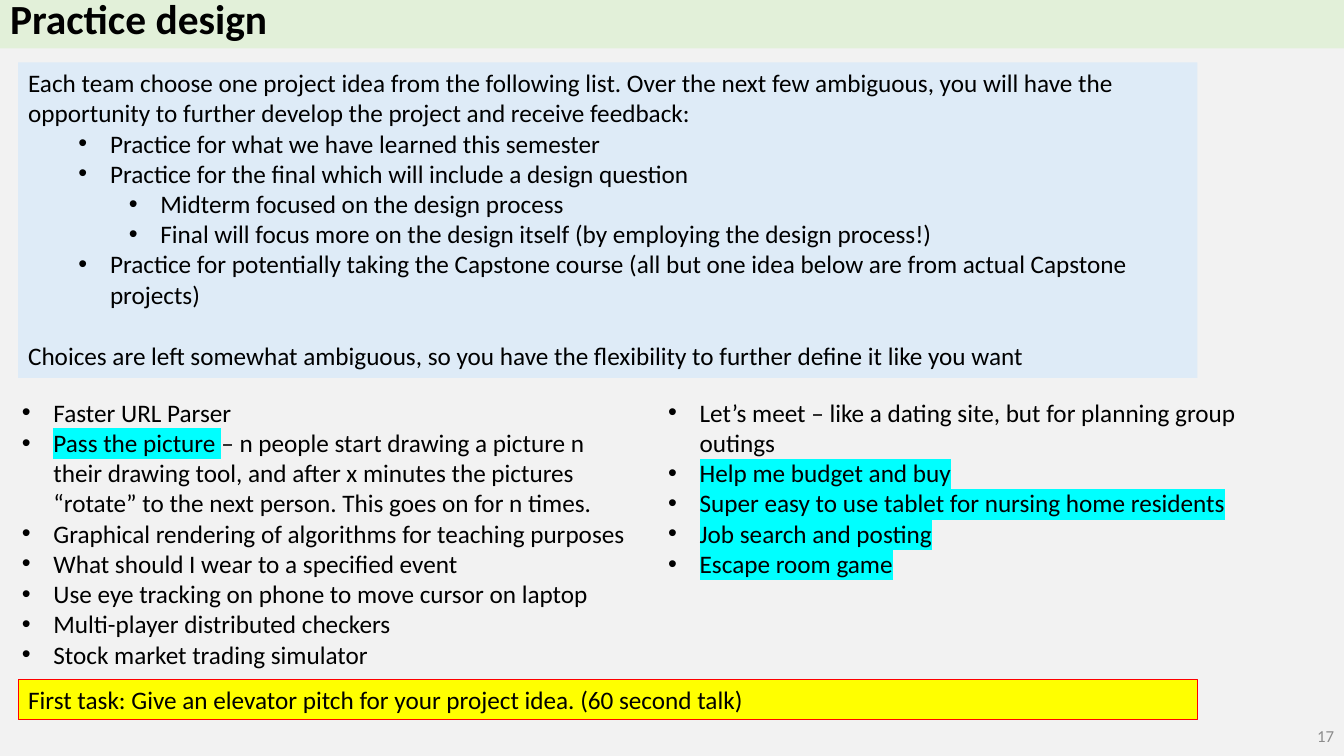
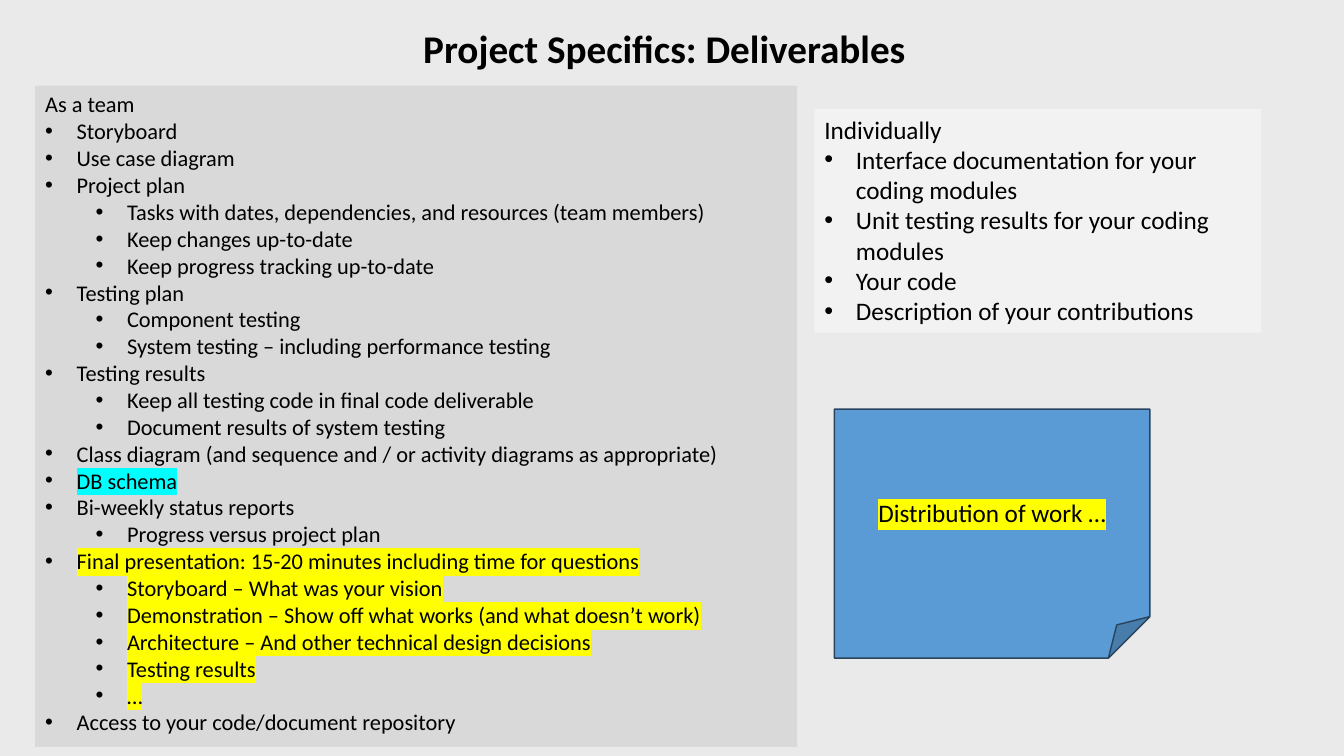
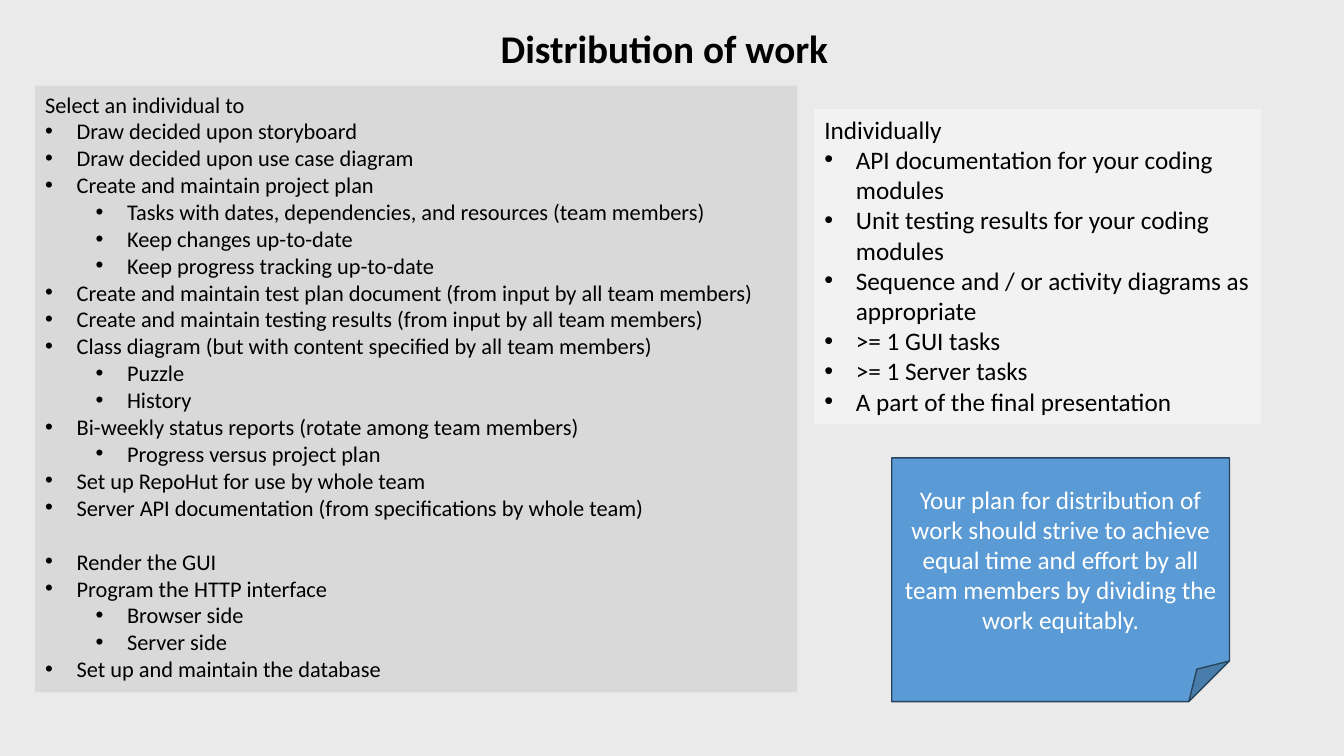
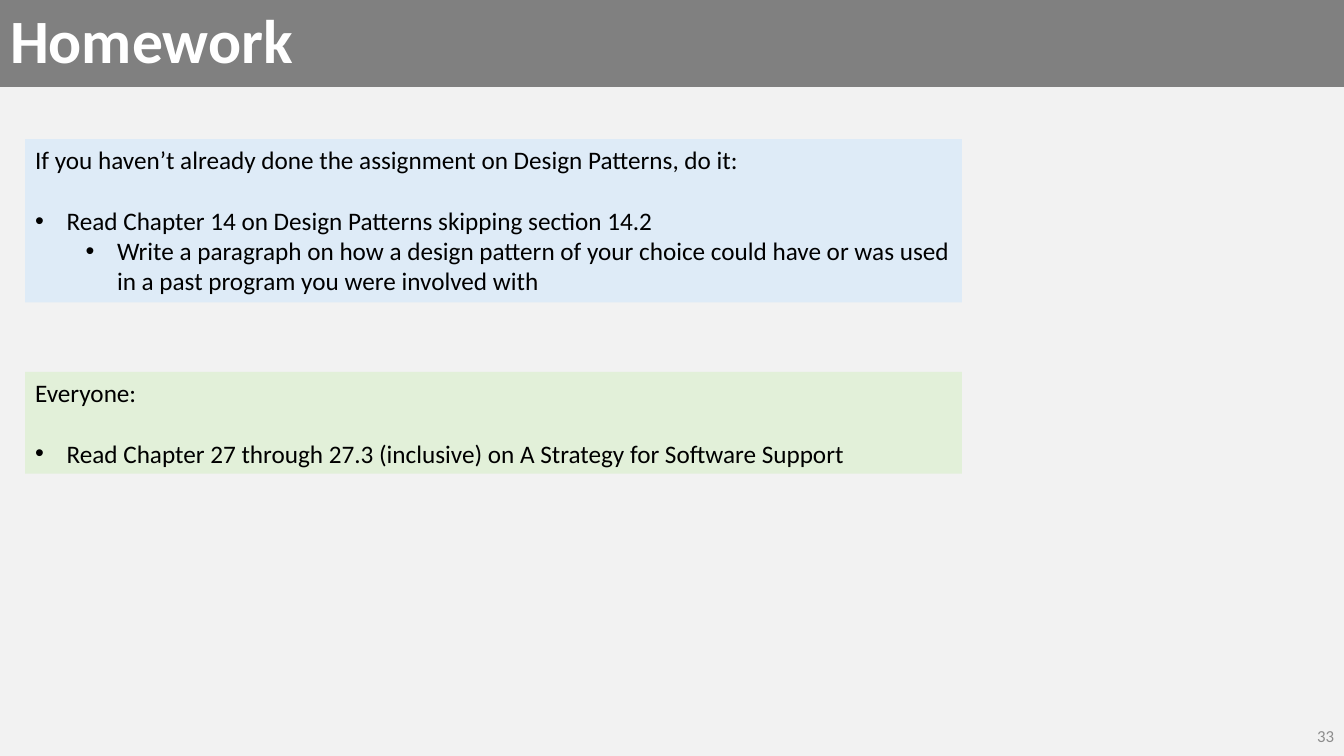
import pptx
import pptx.enum.shapes
import pptx.enum.text
import pptx.oxml.ns
import pptx.util
from lxml import etree

Pt = pptx.util.Pt
ALIGN = pptx.enum.text.PP_ALIGN
ANCHOR = pptx.enum.text.MSO_ANCHOR
qn = pptx.oxml.ns.qn

FONT = "Calibri"
BLACK, WHITE = "000000", "FFFFFF"
PALE, SILVER, STONE, GREY, NUMBER_GREY = "F2F2F2", "EAEAEA", "D9D9D9", "808080", "8C8C8C"
PALE_BLUE, PALE_GREEN, BLUE, NAVY = "DEEBF7", "E2F0D9", "5B9BD5", "28445D"
YELLOW, CYAN, RED = "FFFF00", "00FFFF", "FF0000"
HANG, STEP = 22.5, 36

CYAN_MARK = {"highlight": CYAN}
YELLOW_MARK = {"highlight": YELLOW}

BAND_TITLE = {"kind": "title", "anchor": ANCHOR.MIDDLE, "bold": True}
CENTRED_TITLE = {"kind": "title", "place": (208, 13.7, 533, 41), "size": 28,
                 "bold": True, "align": ALIGN.CENTER}
PAGE_NUMBER = {"place": (744, 511.2, 216, 28.8), "size": 12, "colour": NUMBER_GREY,
               "align": ALIGN.RIGHT, "anchor": ANCHOR.MIDDLE}
NOTE = {"kind": "note", "fill": BLUE, "line": (NAVY, 1),
        "align": ALIGN.CENTER, "anchor": ANCHOR.MIDDLE}
TEAM_PANEL = {"fill": STONE, "size": 16}
PERSON_PANEL = {"fill": PALE}


def paint(fill, colour):
    fill.solid()
    fill.fore_color.rgb = pptx.dml.color.RGBColor.from_string(colour)


def write_lines(frame, lines, style):
    """Each line is (level, text, extras); level 0 has no bullet."""
    for index, (level, text, *extras) in enumerate(lines):
        extra = extras[0] if extras else {}
        para = frame.paragraphs[0] if index == 0 else frame.add_paragraph()
        settings = {"alignment": style.get("align", ALIGN.LEFT),
                    "level": max(level - 1, 0),
                    "line_spacing": style.get("spacing", 1.0),
                    "space_before": Pt(extra.get("gap", 0))}
        for name, value in settings.items():
            setattr(para, name, value)
        if level:
            properties = para._p.get_or_add_pPr()
            properties.set("marL", str(Pt(HANG + STEP * (level - 1))))
            properties.set("indent", str(-Pt(HANG)))
            etree.SubElement(properties, qn("a:buFont")).set("typeface", "Arial")
            etree.SubElement(properties, qn("a:buChar")).set("char", "•")
        pieces = [(text, extra.get("highlight"))]
        if "tail" in extra:
            pieces.append((extra["tail"], None))
        for words, highlight in pieces:
            span = para.add_run()
            span.text = words
            font_settings = {"name": FONT, "size": Pt(style.get("size", 18)),
                             "bold": style.get("bold", False)}
            for name, value in font_settings.items():
                setattr(span.font, name, value)
            paint(span.font.fill, style.get("colour", BLACK))
            if highlight:
                mark = etree.Element(qn("a:highlight"))
                etree.SubElement(mark, qn("a:srgbClr")).set("val", highlight)
                span._r.rPr.find(qn("a:solidFill")).addnext(mark)


practice = [
    {**BAND_TITLE, "place": (0, 0, 960, 34.5), "fill": PALE_GREEN, "size": 29.6,
     "spacing": 0.7, "lines": [(0, "Practice design")]},
    {"place": (13, 44.6, 842.4, 225.4), "fill": PALE_BLUE, "lines": [
        (0, "Each team choose one project idea from the following list. Over the next few "
            "ambiguous, you will have the opportunity to further develop the project and "
            "receive feedback:"),
        (2, "Practice for what we have learned this semester"),
        (2, "Practice for the final which will include a design question"),
        (3, "Midterm focused on the design process"),
        (3, "Final will focus more on the design itself (by employing the design process!)"),
        (2, "Practice for potentially taking the Capstone course (all but one idea below "
            "are from actual Capstone projects)"),
        (0, "Choices are left somewhat ambiguous, so you have the flexibility to further "
            "define it like you want", {"gap": 22}),
    ]},
    {"place": (8.6, 280, 446.4, 225.4), "lines": [
        (1, "Faster URL Parser"),
        (1, "Pass the picture ", {"highlight": CYAN, "tail":
            "– n people start drawing a picture n their drawing tool, and after x minutes "
            "the pictures “rotate” to the next person. This goes on for n times."}),
        (1, "Graphical rendering of algorithms for teaching purposes"),
        (1, "What should I wear to a specified event"),
        (1, "Use eye tracking on phone to move cursor on laptop"),
        (1, "Multi-player distributed checkers"),
        (1, "Stock market trading simulator"),
    ]},
    {"place": (470.2, 280, 446.4, 138.2), "lines": [
        (1, "Let’s meet – like a dating site, but for planning group outings"),
        (1, "Help me budget and buy", CYAN_MARK),
        (1, "Super easy to use tablet for nursing home residents", CYAN_MARK),
        (1, "Job search and posting", CYAN_MARK),
        (1, "Escape room game", CYAN_MARK),
    ]},
    {"place": (13, 485.3, 842.4, 28.8), "fill": YELLOW, "line": (RED, 0.75), "lines": [
        (0, "First task: Give an elevator pitch for your project idea. (60 second talk)")]},
    {**PAGE_NUMBER, "lines": [(0, "17")]},
]

deliverables = [
    {**CENTRED_TITLE, "lines": [(0, "Project Specifics: Deliverables")]},
    {**TEAM_PANEL, "place": (25.2, 61.2, 544.3, 472.3), "lines": [
        (0, "As a team"),
        (1, "Storyboard"),
        (1, "Use case diagram"),
        (1, "Project plan"),
        (2, "Tasks with dates, dependencies, and resources (team members)"),
        (2, "Keep changes up-to-date"),
        (2, "Keep progress tracking up-to-date"),
        (1, "Testing plan"),
        (2, "Component testing"),
        (2, "System testing – including performance testing"),
        (1, "Testing results"),
        (2, "Keep all testing code in final code deliverable"),
        (2, "Document results of system testing"),
        (1, "Class diagram (and sequence and / or activity diagrams as appropriate)"),
        (1, "DB schema", CYAN_MARK),
        (1, "Bi-weekly status reports"),
        (2, "Progress versus project plan"),
        (1, "Final presentation: 15-20 minutes including time for questions", YELLOW_MARK),
        (2, "Storyboard – What was your vision", YELLOW_MARK),
        (2, "Demonstration – Show off what works (and what doesn’t work)", YELLOW_MARK),
        (2, "Architecture – And other technical design decisions", YELLOW_MARK),
        (2, "Testing results", YELLOW_MARK),
        (2, "…", YELLOW_MARK),
        (1, "Access to your code/document repository"),
    ]},
    {**PERSON_PANEL, "place": (581.8, 77.8, 319, 159.8), "lines": [
        (0, "Individually"),
        (1, "Interface documentation for your coding modules"),
        (1, "Unit testing results for your coding modules"),
        (1, "Your code"),
        (1, "Description of your contributions"),
    ]},
    {**NOTE, "place": (596, 292.3, 225.4, 177.8),
     "lines": [(0, "Distribution of work …", YELLOW_MARK)]},
]

distribution = [
    {**CENTRED_TITLE, "lines": [(0, "Distribution of work")]},
    {**TEAM_PANEL, "place": (25.2, 61.2, 544.3, 433.4), "lines": [
        (0, "Select an individual to"),
        (1, "Draw decided upon storyboard"),
        (1, "Draw decided upon use case diagram"),
        (1, "Create and maintain project plan"),
        (2, "Tasks with dates, dependencies, and resources (team members)"),
        (2, "Keep changes up-to-date"),
        (2, "Keep progress tracking up-to-date"),
        (1, "Create and maintain test plan document (from input by all team members)"),
        (1, "Create and maintain testing results (from input by all team members)"),
        (1, "Class diagram (but with content specified by all team members)"),
        (2, "Puzzle"),
        (2, "History"),
        (1, "Bi-weekly status reports (rotate among team members)"),
        (2, "Progress versus project plan"),
        (1, "Set up RepoHut for use by whole team"),
        (1, "Server API documentation (from specifications by whole team)"),
        (1, "Render the GUI", {"gap": 19.5}),
        (1, "Program the HTTP interface"),
        (2, "Browser side"),
        (2, "Server side"),
        (1, "Set up and maintain the database"),
    ]},
    {**PERSON_PANEL, "place": (581.8, 77.8, 319, 225.4), "lines": [
        (0, "Individually"),
        (1, "API documentation for your coding modules"),
        (1, "Unit testing results for your coding modules"),
        (1, "Sequence and / or activity diagrams as appropriate"),
        (1, ">= 1 GUI tasks"),
        (1, ">= 1 Server tasks"),
        (1, "A part of the final presentation"),
    ]},
    {**NOTE, "place": (637, 327, 241.2, 174.2), "colour": WHITE, "lines": [
        (0, "Your plan for distribution of work should strive to achieve equal time and "
            "effort by all team members by dividing the work equitably.")]},
]

homework = [
    {**BAND_TITLE, "place": (0, 0, 960, 62), "fill": GREY, "size": 44, "colour": WHITE,
     "spacing": 0.9, "lines": [(0, "Homework")]},
    {"place": (18, 99.4, 669, 116.6), "fill": PALE_BLUE, "lines": [
        (0, "If you haven’t already done the assignment on Design Patterns, do it:"),
        (1, "Read Chapter 14 on Design Patterns skipping section 14.2", {"gap": 22}),
        (2, "Write a paragraph on how a design pattern of your choice could have or was "
            "used in a past program you were involved with"),
    ]},
    {"place": (18, 265.7, 669, 72.7), "fill": PALE_GREEN, "lines": [
        (0, "Everyone:"),
        (1, "Read Chapter 27 through 27.3 (inclusive) on A Strategy for Software Support",
         {"gap": 22}),
    ]},
    {**PAGE_NUMBER, "lines": [(0, "33")]},
]

deck = pptx.Presentation()
deck.slide_width, deck.slide_height = Pt(960), Pt(540)
paint(deck.slide_master.background.fill, PALE)
title_only = deck.slide_layouts[5]

for backdrop, items in [(PALE, practice), (SILVER, deliverables),
                        (SILVER, distribution), (PALE, homework)]:
    page = deck.slides.add_slide(title_only)
    if backdrop != PALE:
        paint(page.background.fill, backdrop)
    for item in items:
        place = [Pt(length) for length in item["place"]]
        kind = item.get("kind")
        if kind == "title":
            box = page.shapes.title
            box.left, box.top, box.width, box.height = place
        elif kind == "note":
            box = page.shapes.add_shape(pptx.enum.shapes.MSO_SHAPE.FOLDED_CORNER, *place)
            box.shadow.inherit = False
        else:
            box = page.shapes.add_textbox(*place)
        if "fill" in item:
            paint(box.fill, item["fill"])
        if "line" in item:
            line_colour, line_width = item["line"]
            paint(box.line.fill, line_colour)
            box.line.width = Pt(line_width)
        frame_settings = {"word_wrap": True,
                          "auto_size": pptx.enum.text.MSO_AUTO_SIZE.NONE,
                          "vertical_anchor": item.get("anchor", ANCHOR.TOP)}
        for name, value in frame_settings.items():
            setattr(box.text_frame, name, value)
        write_lines(box.text_frame, item["lines"], item)

deck.save("out.pptx")
